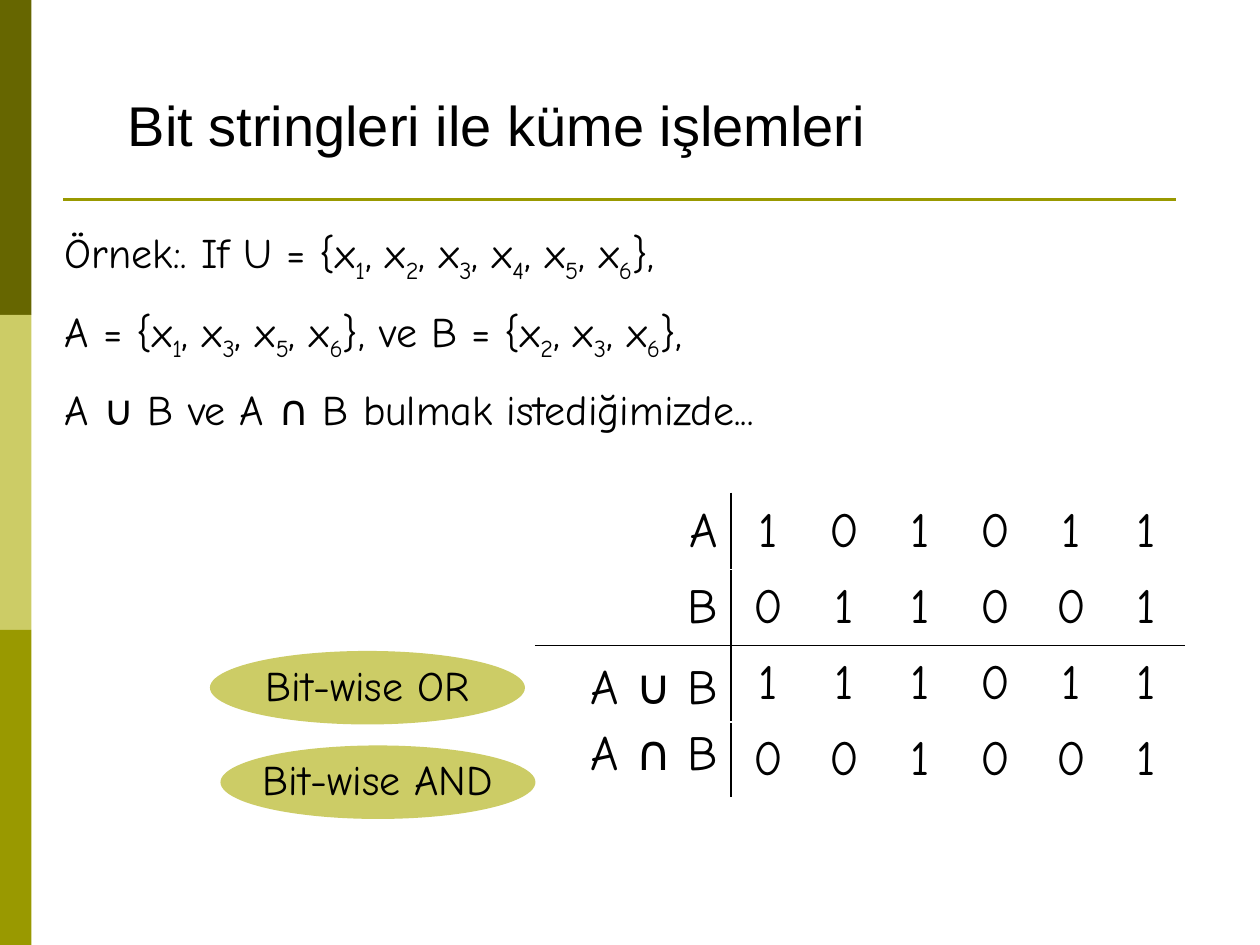
from itertools import groupby

from lxml.etree import SubElement
from pptx import Presentation
from pptx.dml.color import RGBColor
from pptx.enum.shapes import MSO_CONNECTOR as Link, MSO_SHAPE as Shape
from pptx.enum.text import MSO_ANCHOR as Anchor, PP_ALIGN as Align
from pptx.oxml.ns import qn
from pptx.util import Inches, Pt

BLACK = RGBColor(0x00, 0x00, 0x00)
DARK = RGBColor(0x66, 0x66, 0x00)
LIGHT = RGBColor(0xCC, 0xCC, 0x66)
OLIVE = RGBColor(0x99, 0x99, 0x00)

HEAD = "Arial"
BODY = "Comic Neue"

SETS = [
    "Örnek:. If U = {x1, x2, x3, x4, x5, x6},",
    "A = {x1, x3, x5, x6}, ve B = {x2, x3, x6},",
    "A ∪ B ve A ∩ B bulmak istediğimizde...",
]
BITS = ["101011", "011001", "111011", "001001"]
NAMES = ["A", "B", "A ∪ B\nA ∩ B"]


def unit(n):
    """Length of n grid steps; the slide is 120 columns by 90 rows."""
    return Inches(n / 12)


class Page:
    def __init__(self, deck):
        self.slide = deck.slides.add_slide(deck.slide_layouts[6])
        self.shapes = self.slide.shapes

    def style(self, para, size, font=BODY, align=Align.LEFT, gap=0):
        """Format a paragraph; gap is the space before, in percent of a line."""
        para.alignment = align
        if gap:
            before = SubElement(para._p.get_or_add_pPr(), qn("a:spcBef"))
            SubElement(before, qn("a:spcPct"), val=str(gap * 1000))
        for run in para.runs:
            run.font.name = font
            run.font.size = Pt(size)
            run.font.color.rgb = BLACK

    def block(self, kind, x, y, w, h, color):
        shape = self.shapes.add_shape(kind, *map(unit, (x, y, w, h)))
        shape.shadow.inherit = False
        shape.fill.solid()
        shape.fill.fore_color.rgb = color
        shape.line.fill.background()
        return shape

    def rule(self, x, y, end):
        line = self.shapes.add_connector(
            Link.STRAIGHT, unit(x), unit(y), unit(end), unit(y))
        line.line.color.rgb = OLIVE
        line.line.width = Pt(1.5)
        SubElement(line._element.spPr, qn("a:effectLst"))

    def text(self, x, y, w, h, lines, size, font=BODY, gap=0):
        """Text box in which every digit is a subscript."""
        frame = self.shapes.add_textbox(*map(unit, (x, y, w, h))).text_frame
        frame.word_wrap = True
        for i, line in enumerate(lines):
            para = frame.add_paragraph() if i else frame.paragraphs[0]
            for low, part in groupby(line, str.isdigit):
                run = para.add_run()
                run.text = "".join(part)
                if low:
                    run.font._element.set("baseline", "-25000")
            self.style(para, size, font, gap=gap)

    def label(self, x, y, text):
        frame = self.block(Shape.OVAL, x, y, 30, 7, LIGHT).text_frame
        frame.text = text
        frame.word_wrap = False
        frame.vertical_anchor = Anchor.MIDDLE
        frame.paragraphs[0].line_spacing = 0.9
        self.style(frame.paragraphs[0], 24, align=Align.CENTER)

    def edge(self, cell, sides):
        """Draw thin black borders on the sides named by L, R, T and B."""
        props = cell._tc.get_or_add_tcPr()
        for i, side in enumerate(sides):
            line = SubElement(props, qn(f"a:ln{side}"), w=str(Pt(1)))
            fill = SubElement(line, qn("a:solidFill"))
            SubElement(fill, qn("a:srgbClr"), val=str(BLACK))
            props.insert(i, line)

    def grid(self, x, y, w, h, names, bits):
        rows, cols = len(bits), len(bits[0]) + 1
        table = self.shapes.add_table(
            rows, cols, *map(unit, (x, y, w, h))).table
        table.first_row = table.horz_banding = False
        for i, col in enumerate(table.columns):
            col.width = Inches(0.6 if i else 1.55)
        table.cell(2, 0).merge(table.cell(3, 0))
        for r in range(rows):
            for c in range(cols):
                cell = table.cell(r, c)
                cell.fill.background()
                cell.vertical_anchor = Anchor.MIDDLE
                self.edge(cell, {0: "R", 1: "L"}.get(c, "")
                          + {1: "B", 2: "T"}.get(r, ""))
                if cell.is_spanned:
                    continue
                cell.text = bits[r][c - 1] if c else names[r]
                for para in cell.text_frame.paragraphs:
                    self.style(para, 28, gap=20,
                               align=Align.CENTER if c else Align.RIGHT)


def main():
    deck = Presentation()
    deck.slide_width, deck.slide_height = unit(120), unit(90)
    page = Page(deck)
    for i, color in enumerate((DARK, LIGHT, OLIVE)):
        page.block(Shape.RECTANGLE, 0, 30 * i, 3, 30, color)
    page.rule(6, 19, 112)
    page.text(11, 8, 82, 7.5, ["Bit stringleri ile küme işlemleri"], 32, HEAD)
    page.text(5, 21, 104, 20.5, SETS, 24, gap=50)
    page.grid(51, 47, 62, 29, NAMES, BITS)
    page.label(20, 62, "Bit-wise OR")
    page.label(21, 71, "Bit-wise AND")
    deck.save("out.pptx")


if __name__ == "__main__":
    main()
